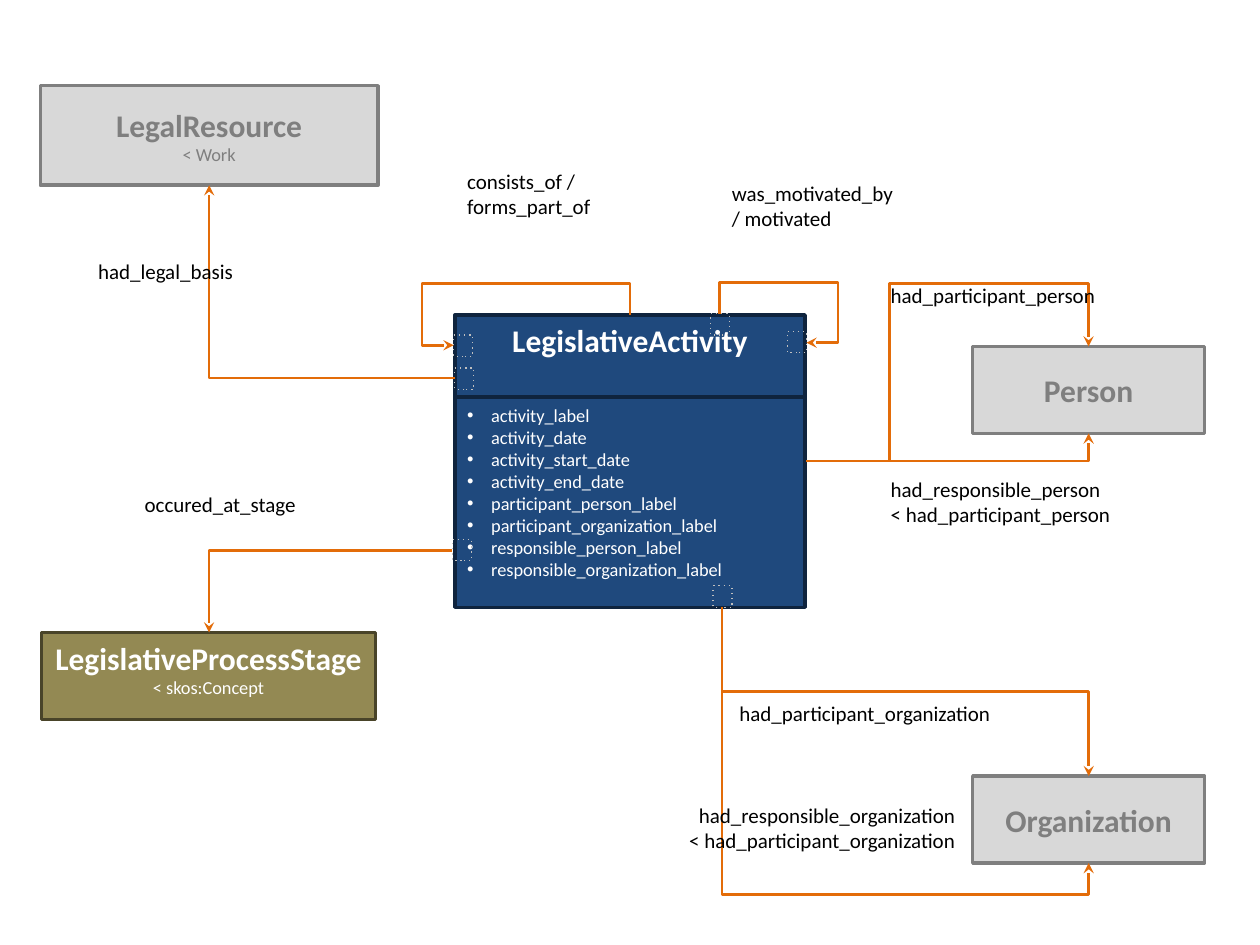
from lxml.etree import SubElement
from pptx import Presentation
from pptx.dml.color import RGBColor
from pptx.enum.shapes import MSO_CONNECTOR as Connector, MSO_SHAPE as Shape
from pptx.enum.text import MSO_ANCHOR as Anchor, PP_ALIGN as Align
from pptx.oxml.ns import qn
from pptx.util import Inches, Pt

COLORS = {
    "navy": "1F497D", "dark navy": "0F243E", "olive": "938953", "dark olive": "494429",
    "light gray": "D8D8D8", "gray": "7F7F7F", "port": "BFBFBF",
    "orange": "E36C09", "white": "FFFFFF", "black": "000000",
}
FONT = "Calibri"

ACTIVITY_FIELDS = [
    "activity_label", "activity_date", "activity_start_date", "activity_end_date",
    "participant_person_label", "participant_organization_label",
    "responsible_person_label", "responsible_organization_label",
]

NAVY = ("navy", "dark navy", "white")
OLIVE = ("olive", "dark olive", "white")
GRAY = ("light gray", "gray", "gray")
CLASSES = [
    ("LegislativeActivity", None, (3.61, 2.5, 2.78, 2.32), NAVY, Anchor.TOP, ACTIVITY_FIELDS),
    ("LegislativeProcessStage", "< skos:Concept", (0.33, 5.02, 2.65, 0.69), OLIVE, Anchor.TOP, []),
    ("LegalResource", "< Work", (0.32, 0.68, 2.68, 0.79), GRAY, Anchor.MIDDLE, []),
    ("Person", None, (7.72, 2.75, 1.84, 0.69), GRAY, Anchor.MIDDLE, []),
    ("Organization", None, (7.72, 6.16, 1.84, 0.69), GRAY, Anchor.MIDDLE, []),
]

PORTS = [(5.66, 4.65), (6.25, 2.63), (3.6, 2.66), (3.59, 4.28), (3.61, 2.92), (5.64, 2.49)]
PORT_SIZE = (0.15, 0.17)

RELATIONS = [
    [(5, 2.5), (5, 2.25), (3.35, 2.25), (3.35, 2.74), (3.6, 2.74)],
    [(6.4, 3.66), (7.06, 3.66), (7.06, 2.25), (8.64, 2.25), (8.64, 2.75)],
    [(3.59, 4.37), (1.66, 4.37), (1.66, 5.02)],
    [(5.71, 2.49), (5.71, 2.24), (6.65, 2.24), (6.65, 2.72), (6.4, 2.72)],
    [(3.61, 3), (1.66, 3), (1.66, 1.47)],
    [(5.73, 4.82), (5.73, 5.49), (8.64, 5.49), (8.64, 6.16)],
    [(6.4, 3.66), (8.64, 3.66), (8.64, 3.44)],
    [(5.73, 4.82), (5.73, 7.1), (8.64, 7.1), (8.64, 6.85)],
]

LABELS = [
    (["consists_of /", "forms_part_of"], (3.61, 1.29, 2.23, 0.5), Align.LEFT),
    (["had_responsible_person", "< had_participant_person"], (6.97, 3.73, 2.28, 0.5), Align.LEFT),
    (["occured_at_stage"], (1.05, 3.85, 1.5, 0.3), Align.LEFT),
    (["was_motivated_by", "/ motivated"], (5.71, 1.38, 2.23, 0.5), Align.LEFT),
    (["had_legal_basis"], (0.68, 2, 2.46, 0.3), Align.LEFT),
    (["had_responsible_organization", "< had_participant_organization"],
     (4.98, 6.32, 2.7, 0.5), Align.RIGHT),
    (["had_participant_person"], (6.97, 2.19, 2.28, 0.3), Align.LEFT),
    (["had_participant_organization"], (5.77, 5.51, 2.28, 0.3), Align.LEFT),
]


def rgb(name):
    return RGBColor.from_string(COLORS[name])


def set_line(shape, color, width):
    shape.line.color.rgb = rgb(color)
    shape.line.width = Pt(width)


def write(paragraph, text, size, color, align, bold=False):
    paragraph.text = text
    paragraph.alignment = align
    for run in paragraph.runs:
        run.font.name = FONT
        run.font.size = Pt(size)
        run.font.bold = bold
        run.font.color.rgb = rgb(color)


def add_bullet(paragraph, color):
    props = paragraph._p.get_or_add_pPr()
    props.set("marL", str(Inches(0.19)))
    props.set("indent", str(Inches(-0.19)))
    SubElement(SubElement(props, qn("a:buClr")), qn("a:srgbClr"), val=COLORS[color])
    SubElement(props, qn("a:buFont"), typeface="Arial")
    SubElement(props, qn("a:buChar"), char="•")


def add_box(shapes, place):
    box = shapes.add_shape(Shape.RECTANGLE, *map(Inches, place))
    box.shadow.inherit = False
    return box


def add_class(shapes, name, parent, place, palette, anchor, fields):
    fill, border, ink = palette
    box = add_box(shapes, place)
    box.fill.solid()
    box.fill.fore_color.rgb = rgb(fill)
    set_line(box, border, 2)
    frame = box.text_frame
    frame.word_wrap = True
    frame.vertical_anchor = anchor
    write(frame.paragraphs[0], name, 18, ink, Align.CENTER, bold=True)
    if parent:
        write(frame.add_paragraph(), parent, 10.5, ink, Align.CENTER)
    for index, field in enumerate(fields):
        paragraph = frame.add_paragraph()
        add_bullet(paragraph, ink)
        write(paragraph, field, 10.5, ink, Align.LEFT)
        if index == 0:
            paragraph.space_before = Pt(25.6)


def add_port(shapes, corner):
    port = add_box(shapes, corner + PORT_SIZE)
    port.fill.background()
    set_line(port, "port", 0.75)
    SubElement(port._element.spPr.find(qn("a:ln")), qn("a:prstDash"), val="dot")


def add_line(shapes, kind, start, end, color, width):
    line = shapes.add_connector(kind, *map(Inches, start + end))
    set_line(line, color, width)
    SubElement(line._element.spPr, qn("a:effectLst"))
    return line


def add_relation(shapes, route):
    (x0, y0), (x1, y1) = start, end = route[0], route[-1]
    dx, dy = x1 - x0, y1 - y0
    vertical = route[1][0] == x0
    along, across = (dy, dx) if vertical else (dx, dy)
    turned = dx > 0 if vertical else dy < 0
    flipped = (along < 0) != turned
    mid_x, mid_y = (x0 + x1) / 2, (y0 + y1) / 2
    half_w, half_h = abs(along) / 2, abs(across) / 2

    line = add_line(shapes, Connector.ELBOW, (mid_x - half_w, mid_y - half_h),
                    (mid_x + half_w, mid_y + half_h), "orange", 1.5)
    props = line._element.spPr
    frame = props.find(qn("a:xfrm"))
    frame.set("rot", str(((90 if vertical else 0) + (180 if turned else 0)) * 60000))
    frame.set("flipH", str(int(flipped)))

    geometry = props.find(qn("a:prstGeom"))
    geometry.set("prst", f"bentConnector{len(route) - 1}")
    guides = geometry.find(qn("a:avLst"))
    for index, bend in enumerate(route[1:-2]):
        axis = (index + vertical) % 2
        ratio = (bend[axis] - start[axis]) / (end[axis] - start[axis])
        SubElement(guides, qn("a:gd"), name=f"adj{index + 1}", fmla=f"val {round(ratio * 100000)}")
    SubElement(props.find(qn("a:ln")), qn("a:tailEnd"), type="stealth")


def add_label(shapes, lines, place, align):
    frame = shapes.add_textbox(*map(Inches, place)).text_frame
    frame.word_wrap = True
    frame.text = "\n".join(lines)
    for paragraph, text in zip(frame.paragraphs, lines):
        write(paragraph, text, 12, "black", align)


def main():
    deck = Presentation()
    deck.slide_width, deck.slide_height = Inches(10), Inches(7.5)
    shapes = deck.slides.add_slide(deck.slide_layouts[6]).shapes
    for entity in CLASSES:
        add_class(shapes, *entity)
    add_line(shapes, Connector.STRAIGHT, (3.62, 3.15), (6.38, 3.15), "dark navy", 2)
    for corner in PORTS:
        add_port(shapes, corner)
    for route in RELATIONS:
        add_relation(shapes, route)
    for label in LABELS:
        add_label(shapes, *label)
    deck.save("out.pptx")


if __name__ == "__main__":
    main()
